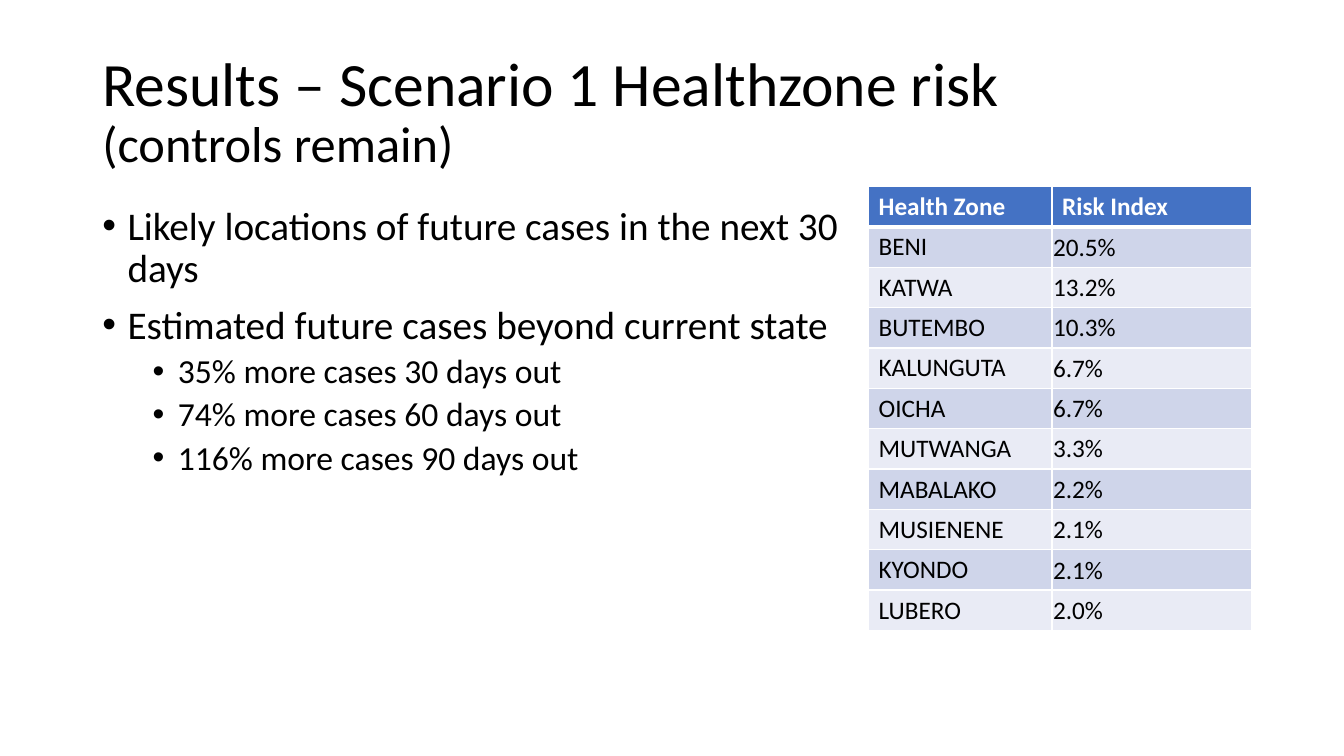
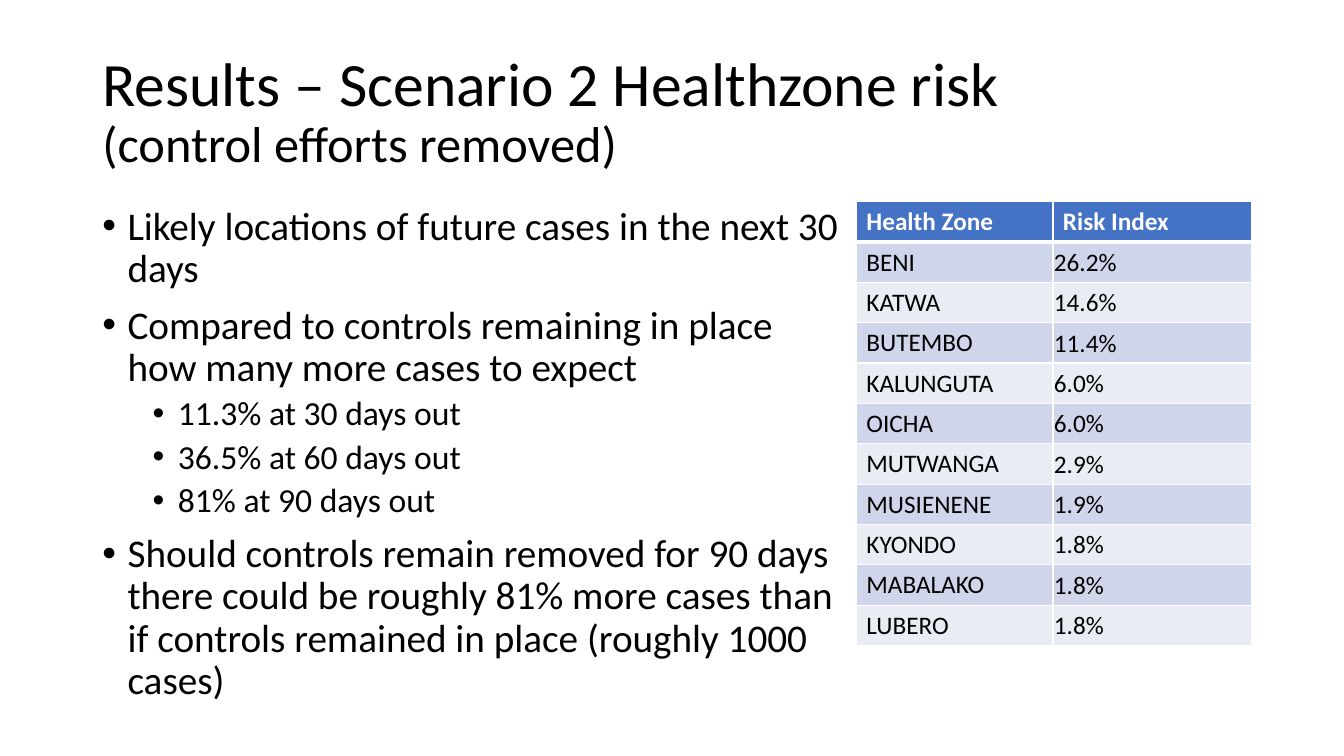
import dataclasses
import typing

import lxml.etree
import pptx
import pptx.dml.color
import pptx.enum.text
import pptx.oxml.ns
import pptx.util


# Theme: colours, type sizes and line widths
@dataclasses.dataclass(frozen=True)
class Theme:
    font: str = "Calibri"
    text: str = "000000"
    white: str = "FFFFFF"
    header: str = "4472C4"
    bands: tuple[str, str] = ("CFD5EA", "E9EBF5")
    title_size: int = 44
    subtitle_size: int = 36
    bullet_sizes: tuple[int, int] = (28, 24)
    bullet_gaps: tuple[int, int] = (10, 5)
    bullet_indents: tuple[float, float] = (3, 9)
    bullet_hang: float = 3
    table_size: int = 18
    line_spacing: float = 0.9
    thin_rule: int = 1
    thick_rule: int = 3


THEME = Theme()

# Grid: 160 columns by 90 rows of square units
COLUMNS, ROWS = 160, 90
SLIDE_WIDTH = pptx.util.Inches(13.33)
SLIDE_HEIGHT = pptx.util.Inches(7.5)
MARGIN = 11
BODY_TOP = 24
TABLE_ROW = 4.8
TIGHT_INSET = 0.12


class Area(typing.NamedTuple):
    column: float
    row: float
    columns: float
    rows: float


TITLE_AREA = Area(MARGIN, 4.8, COLUMNS - 2 * MARGIN, 17.4)
BODY_AREA = Area(MARGIN, BODY_TOP, 91, 61.2)


class Bullet(typing.NamedTuple):
    text: str
    level: int = 0


@dataclasses.dataclass(frozen=True)
class Scenario:
    title: str
    subtitle: str
    bullets: list[Bullet]
    table_row: float
    table_columns: tuple[float, float]
    risks: list[tuple[str, str]]


SCENARIOS = [
    Scenario(
        "Results – Scenario 1 Healthzone risk",
        "(controls remain)",
        [
            Bullet("Likely locations of future cases in the next 30 days"),
            Bullet("Estimated future cases beyond current state"),
            Bullet("35% more cases 30 days out", 1),
            Bullet("74% more cases 60 days out", 1),
            Bullet("116% more cases 90 days out", 1),
        ],
        22.2,
        (21.85, 23.75),
        [
            ("BENI", "20.5%"), ("KATWA", "13.2%"), ("BUTEMBO", "10.3%"),
            ("KALUNGUTA", "6.7%"), ("OICHA", "6.7%"), ("MUTWANGA", "3.3%"),
            ("MABALAKO", "2.2%"), ("MUSIENENE", "2.1%"), ("KYONDO", "2.1%"),
            ("LUBERO", "2.0%"),
        ],
    ),
    Scenario(
        "Results – Scenario 2 Healthzone risk",
        "(control efforts removed)",
        [
            Bullet("Likely locations of future cases in the next 30 days"),
            Bullet("Compared to controls remaining in place how many more cases to expect"),
            Bullet("11.3% at 30 days out", 1),
            Bullet("36.5% at 60 days out", 1),
            Bullet("81% at 90 days out", 1),
            Bullet(
                "Should controls remain removed for 90 days there could be roughly "
                "81% more cases than if controls remained in place (roughly 1000 cases)"
            ),
        ],
        BODY_TOP,
        (23.4, 23.65),
        [
            ("BENI", "26.2%"), ("KATWA", "14.6%"), ("BUTEMBO", "11.4%"),
            ("KALUNGUTA", "6.0%"), ("OICHA", "6.0%"), ("MUTWANGA", "2.9%"),
            ("MUSIENENE", "1.9%"), ("KYONDO", "1.8%"), ("MABALAKO", "1.8%"),
            ("LUBERO", "1.8%"),
        ],
    ),
]


# Shared helpers
def across(columns: float) -> int:
    return round(SLIDE_WIDTH * columns / COLUMNS)


def down(rows: float) -> int:
    return round(SLIDE_HEIGHT * rows / ROWS)


def place(area: Area) -> tuple[int, int, int, int]:
    return across(area.column), down(area.row), across(area.columns), down(area.rows)


def set_font(font, colour: str, size: int, bold: bool = False) -> None:
    font.name = THEME.font
    font.size = pptx.util.Pt(size)
    font.bold = bold
    font.color.rgb = pptx.dml.color.RGBColor.from_string(colour)


def add_text_frame(page, area: Area, anchor):
    frame = page.shapes.add_textbox(*place(area)).text_frame
    frame.word_wrap = True
    frame.vertical_anchor = anchor
    return frame


# Title with a smaller second line
def add_title(page, title: str, subtitle: str) -> None:
    frame = add_text_frame(page, TITLE_AREA, pptx.enum.text.MSO_ANCHOR.MIDDLE)
    para = frame.paragraphs[0]
    para.line_spacing = THEME.line_spacing
    set_font(para.font, THEME.text, THEME.title_size)
    para.add_run().text = title
    para.add_line_break()
    span = para.add_run()
    span.text = subtitle
    span.font.size = pptx.util.Pt(THEME.subtitle_size)


# Bulleted text on two levels
def add_bullets(page, bullets: list[Bullet]) -> None:
    frame = add_text_frame(page, BODY_AREA, pptx.enum.text.MSO_ANCHOR.TOP)
    for index, bullet in enumerate(bullets):
        para = frame.add_paragraph() if index else frame.paragraphs[0]
        para.text = bullet.text
        para.level = bullet.level
        para.line_spacing = THEME.line_spacing
        para.space_before = pptx.util.Pt(THEME.bullet_gaps[bullet.level] if index else 0)
        properties = para._p.get_or_add_pPr()
        properties.set("marL", str(across(THEME.bullet_indents[bullet.level])))
        properties.set("indent", str(-across(THEME.bullet_hang)))
        for tag, name, value in (("a:buFont", "typeface", "Arial"), ("a:buChar", "char", "•")):
            mark = lxml.etree.SubElement(properties, pptx.oxml.ns.qn(tag))
            mark.set(name, value)
        set_font(para.font, THEME.text, THEME.bullet_sizes[bullet.level])


# Risk table
def add_cell_rules(cell, top: int, bottom: int) -> None:
    properties = cell._tc.get_or_add_tcPr()
    widths = {"lnL": THEME.thin_rule, "lnR": THEME.thin_rule, "lnT": top, "lnB": bottom}
    for index, (tag, width) in enumerate(widths.items()):
        rule = lxml.etree.Element(pptx.oxml.ns.qn("a:" + tag), w=str(pptx.util.Pt(width)))
        fill = lxml.etree.SubElement(rule, pptx.oxml.ns.qn("a:solidFill"))
        lxml.etree.SubElement(fill, pptx.oxml.ns.qn("a:srgbClr"), val=THEME.white)
        properties.insert(index, rule)


def fill_cell(cell, text: str, row: int, column: int) -> None:
    is_header = row == 0
    cell.text = text
    cell.vertical_anchor = pptx.enum.text.MSO_ANCHOR.MIDDLE
    if column and not is_header:
        cell.margin_left = cell.margin_right = across(TIGHT_INSET)
        cell.margin_top, cell.margin_bottom = down(TIGHT_INSET), 0
    colour = THEME.header if is_header else THEME.bands[(row - 1) % 2]
    cell.fill.solid()
    cell.fill.fore_color.rgb = pptx.dml.color.RGBColor.from_string(colour)
    set_font(cell.text_frame.paragraphs[0].font,
             THEME.white if is_header else THEME.text, THEME.table_size, is_header)
    add_cell_rules(cell,
                   THEME.thick_rule if row == 1 else THEME.thin_rule,
                   THEME.thick_rule if is_header else THEME.thin_rule)


def add_risk_table(page, scenario: Scenario) -> None:
    entries = [("Health Zone", "Risk Index"), *scenario.risks]
    width = sum(scenario.table_columns)
    area = Area(COLUMNS - MARGIN - width, scenario.table_row, width, TABLE_ROW * len(entries))
    table = page.shapes.add_table(len(entries), len(scenario.table_columns), *place(area)).table
    for column, columns in zip(table.columns, scenario.table_columns):
        column.width = across(columns)
    for row, entry in enumerate(entries):
        table.rows[row].height = down(TABLE_ROW)
        for column, text in enumerate(entry):
            fill_cell(table.cell(row, column), text, row, column)


# Deck
def main() -> None:
    deck = pptx.Presentation()
    deck.slide_width, deck.slide_height = SLIDE_WIDTH, SLIDE_HEIGHT
    for scenario in SCENARIOS:
        page = deck.slides.add_slide(deck.slide_layouts[6])
        add_title(page, scenario.title, scenario.subtitle)
        add_bullets(page, scenario.bullets)
        add_risk_table(page, scenario)
    deck.save("out.pptx")


if __name__ == "__main__":
    main()
